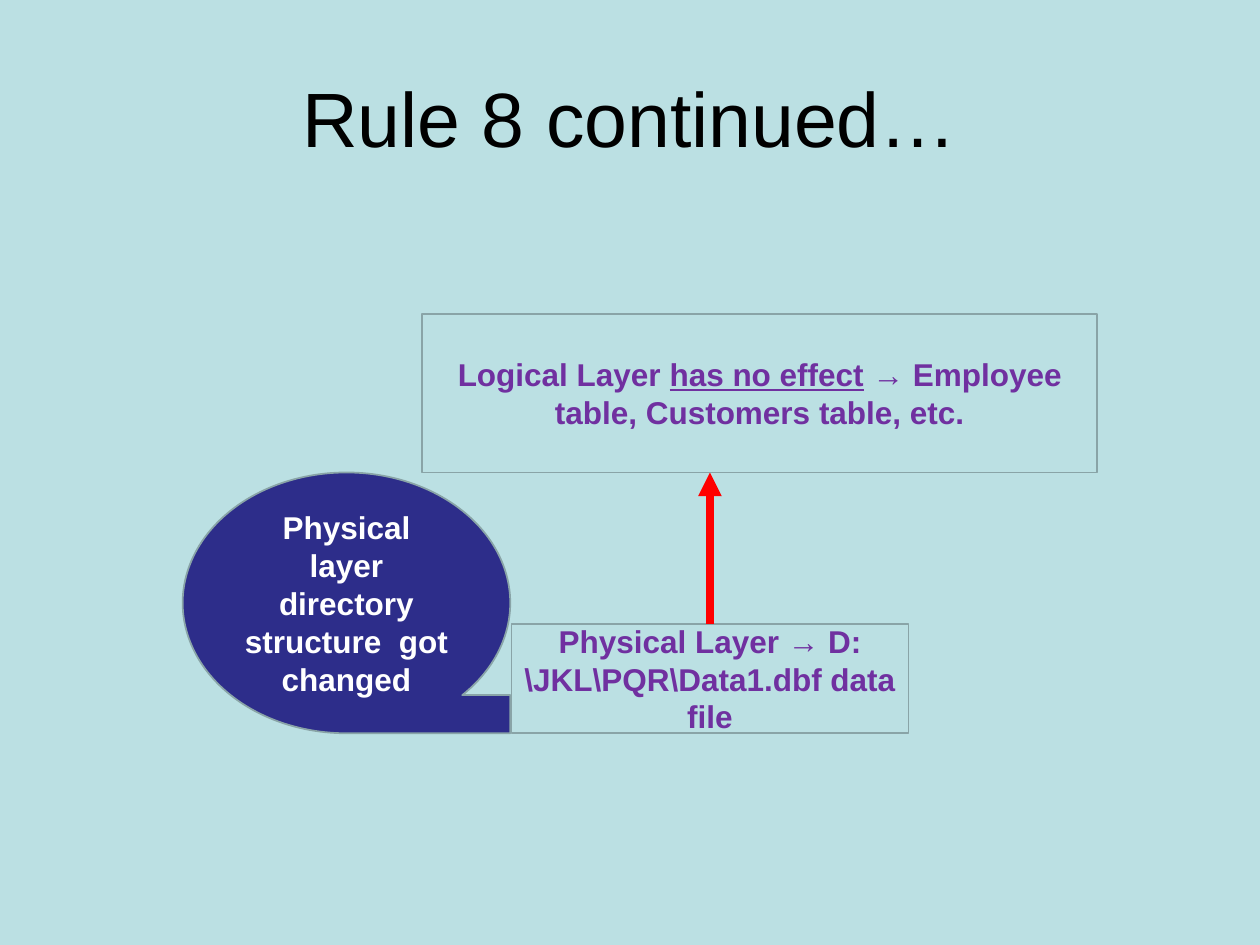
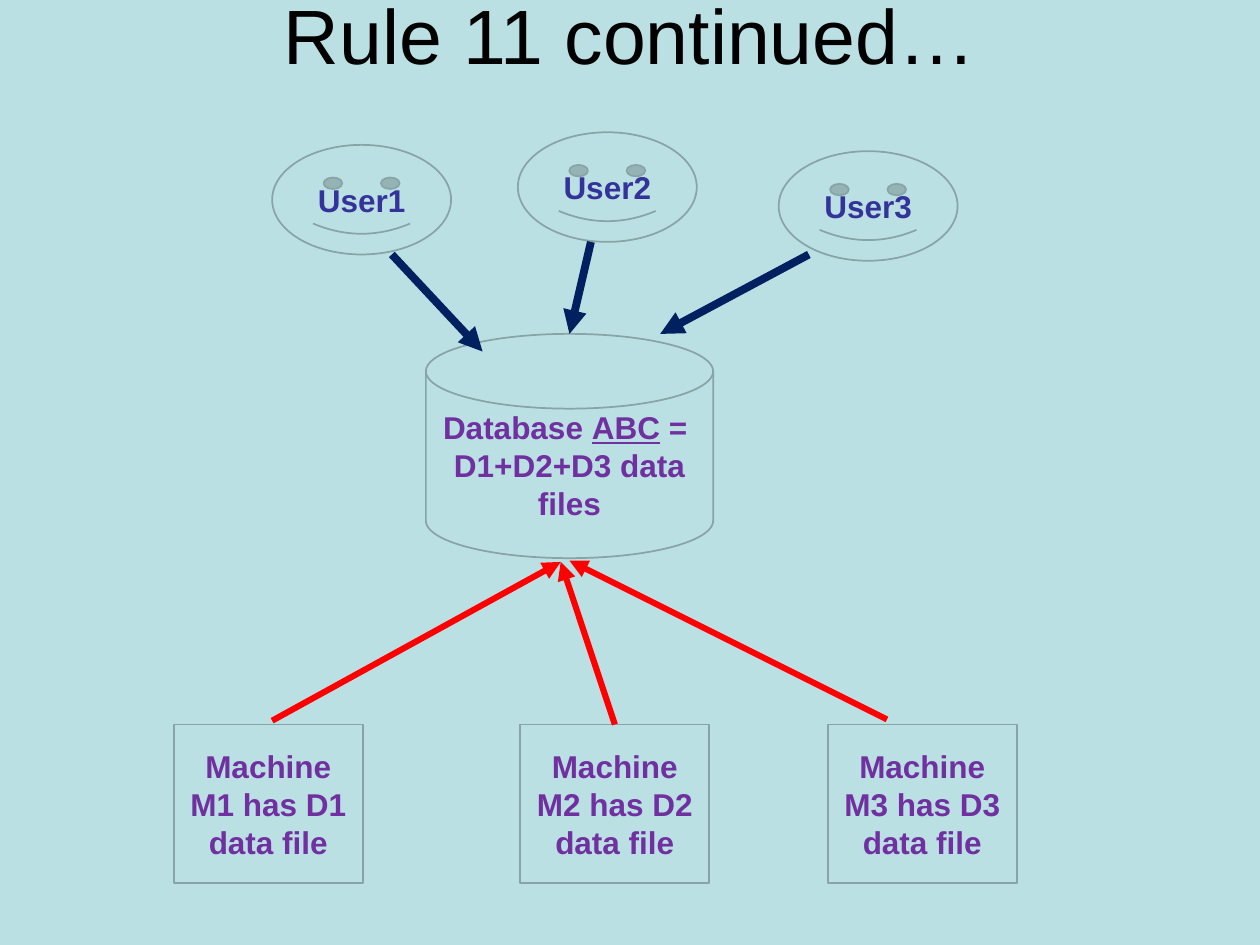
from dataclasses import dataclass

from lxml.etree import SubElement
from pptx import Presentation
from pptx.dml.color import RGBColor
from pptx.enum.shapes import MSO_CONNECTOR, MSO_SHAPE
from pptx.enum.text import MSO_ANCHOR, PP_ALIGN
from pptx.oxml.ns import qn
from pptx.util import Inches, Pt

WIDTH, HEIGHT = Inches(10), Inches(7.5)
COLUMNS, ROWS = 100, 75
TOP_SIDE = 0


@dataclass(frozen=True)
class Theme:
    font: str = "Arial"
    title_size: int = 44
    label_size: int = 18
    outline_width: float = 1
    background: str = "BBE0E3"
    outline: str = "89A4A7"
    title: str = "000000"
    layer: str = "7030A0"
    user: str = "333399"
    note_fill: str = "2D2D8A"
    note_text: str = "FFFFFF"
    data_flow: str = "FF0000"
    user_flow: str = "002060"


def apply(target, values):
    for name, value in values.items():
        setattr(target, name, value)


def paint(fill, color):
    fill.solid()
    fill.fore_color.rgb = RGBColor.from_string(color)


def column(count):
    return round(WIDTH * count / COLUMNS)


def row(count):
    return round(HEIGHT * count / ROWS)


def frame(left, top, width, height):
    return column(left), row(top), column(width), row(height)


class Deck:
    def __init__(self, theme):
        self.theme = theme
        self.presentation = Presentation()
        apply(self.presentation, {"slide_width": WIDTH, "slide_height": HEIGHT})
        paint(self.presentation.slide_master.background.fill, theme.background)
        self.slide = None

    def add_slide(self, heading, top, height):
        layout = self.presentation.slide_layouts.get_by_name("Title Only")
        self.slide = self.presentation.slides.add_slide(layout)
        title = self.slide.shapes.title
        place = frame(5, top, 90, height)
        apply(title, dict(zip(("left", "top", "width", "height"), place)))
        self.add_label(title, heading, self.theme.title, self.theme.title_size, False)

    def add_label(self, shape, text, color, size, bold):
        apply(shape.text_frame, {"word_wrap": True, "vertical_anchor": MSO_ANCHOR.MIDDLE})
        paragraph = shape.text_frame.paragraphs[0]
        paragraph.alignment = PP_ALIGN.CENTER
        for index, part in enumerate(text.split("_")):
            run = paragraph.add_run()
            run.text = part
            style = {"name": self.theme.font, "size": Pt(size), "bold": bold}
            if index % 2:
                style["underline"] = True
            apply(run.font, style)
            run.font.color.rgb = RGBColor.from_string(color)

    def add_node(self, kind, place, text, color=None, fill=None):
        node = self.slide.shapes.add_shape(kind, *frame(*place))
        node.shadow.inherit = False
        paint(node.fill, fill or self.theme.background)
        paint(node.line.fill, self.theme.outline)
        node.line.width = Pt(self.theme.outline_width)
        self.add_label(node, text, color or self.theme.layer, self.theme.label_size, True)
        return node

    def add_arrow(self, start, end, color, width, source=None):
        arrow = self.slide.shapes.add_connector(
            MSO_CONNECTOR.STRAIGHT,
            column(start[0]), row(start[1]), column(end[0]), row(end[1]))
        if source is not None:
            arrow.begin_connect(source, TOP_SIDE)
        paint(arrow.line.fill, color)
        arrow.line.width = Pt(width)
        properties = arrow._element.spPr
        SubElement(properties.find(qn("a:ln")), qn("a:tailEnd"), type="triangle")
        SubElement(properties, qn("a:effectLst"))


def build_rule_8(deck):
    theme = deck.theme
    deck.add_slide("Rule 8 continued…", 3, 12.5)
    physical_layer = deck.add_node(
        MSO_SHAPE.RECTANGLE, (40.6, 49.5, 31.5, 8.7),
        "Physical Layer → D:\\JKL\\PQR\\Data1.dbf data file")
    deck.add_arrow((56.35, 49.5), (56.35, 37.5), theme.data_flow, 4.5, physical_layer)
    deck.add_node(
        MSO_SHAPE.RECTANGLE, (33.5, 24.9, 53.6, 12.6),
        "Logical Layer _has no effect_ → Employee table, Customers table, etc.")
    deck.add_node(
        MSO_SHAPE.FLOWCHART_SEQUENTIAL_ACCESS_STORAGE, (14.5, 37.5, 26, 20.7),
        "Physical layer directory structure  got changed",
        theme.note_text, theme.note_fill)


def build_rule_11(deck):
    theme = deck.theme
    deck.add_slide("Rule 11 continued…", -3.8, 13)
    machines = [
        deck.add_node(MSO_SHAPE.RECTANGLE, (left, 57.5, 15, 12.6),
                      f"Machine M{number} has D{number} data file")
        for number, left in enumerate((13.8, 41.3, 65.7), 1)]
    data_flows = (
        ((21.6, 57.2), (44.5, 44.6), None),
        ((48.8, 57.5), (44.5, 44.6), machines[1]),
        ((70.4, 57.1), (45.2, 44.5), None))
    for start, end, machine in data_flows:
        deck.add_arrow(start, end, theme.data_flow, 3.5, machine)

    deck.add_node(MSO_SHAPE.FLOWCHART_MAGNETIC_DISK, (33.8, 26.5, 22.8, 17.8),
                  "Database _ABC_ =  D1+D2+D3 data files")

    for number, (left, top) in enumerate(((21.6, 11.5), (41.1, 10.5), (61.8, 12)), 1):
        user = deck.add_node(MSO_SHAPE.SMILEY_FACE, (left, top, 14.2, 8.7),
                             f"User{number}", theme.user)
        user.adjustments[0] = 0.09
    user_flows = (
        ((31.1, 20.2), (38.3, 27.9)),
        ((46.9, 19.2), (45.2, 26.5)),
        ((64.2, 20.2), (52.4, 26.5)))
    for start, end in user_flows:
        deck.add_arrow(start, end, theme.user_flow, 4.5)


def main():
    deck = Deck(Theme())
    build_rule_8(deck)
    build_rule_11(deck)
    deck.presentation.save("out.pptx")


if __name__ == "__main__":
    main()
